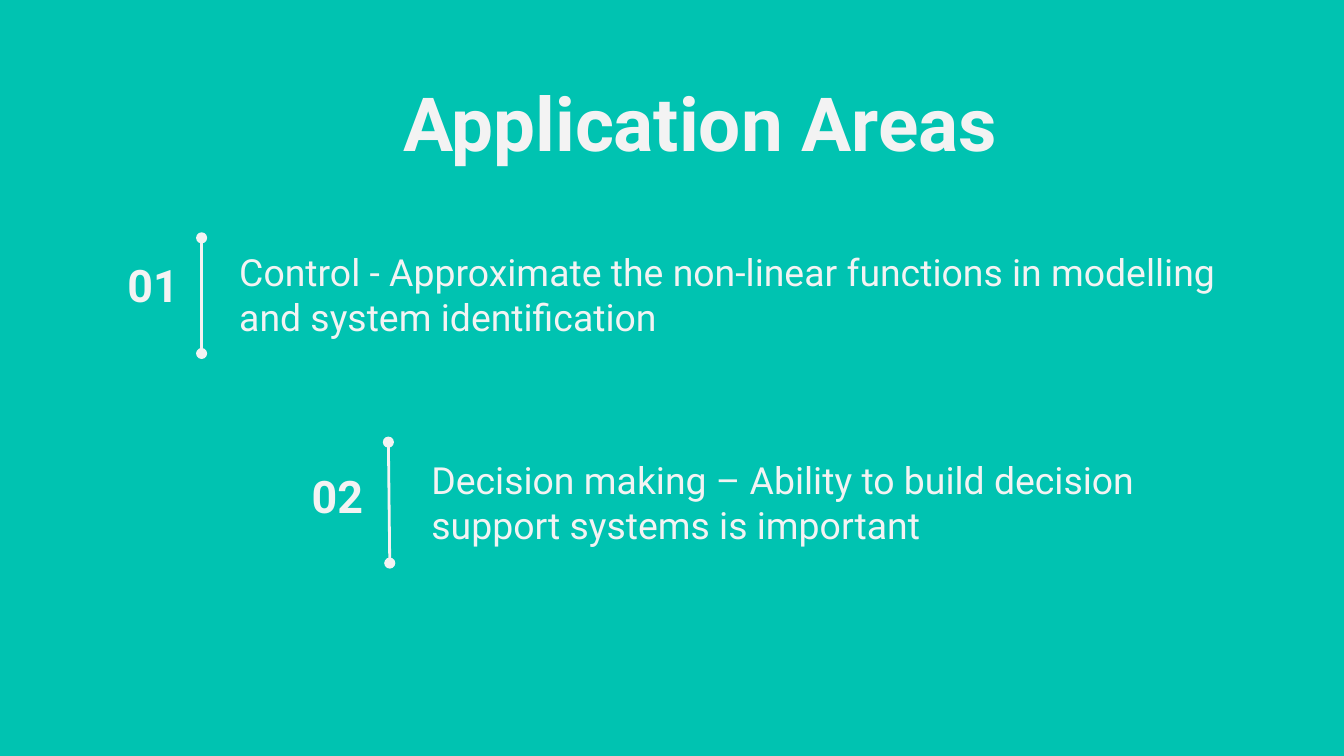
from dataclasses import dataclass

from lxml.etree import SubElement
from pptx import Presentation
from pptx.dml.color import RGBColor
from pptx.enum.shapes import MSO_CONNECTOR
from pptx.enum.text import MSO_ANCHOR, MSO_AUTO_SIZE, PP_ALIGN
from pptx.oxml.ns import qn
from pptx.shapes.base import BaseShape
from pptx.slide import Slide
from pptx.util import Inches, Pt

SLIDE_WIDTH = 10
SLIDE_HEIGHT = SLIDE_WIDTH * 9 / 16


@dataclass(frozen=True)
class Theme:
    background: RGBColor = RGBColor(0x00, 0xC3, 0xB1)
    foreground: RGBColor = RGBColor(0xF3, 0xF3, 0xF3)
    font: str = "Roboto"
    title_size: int = 40
    number_size: int = 24
    body_size: int = 20
    line_width: float = 1.5


@dataclass(frozen=True)
class Box:
    left: float
    top: float
    width: float
    height: float


@dataclass(frozen=True)
class Area:
    number: str
    text: str
    number_box: Box
    text_box: Box
    line_start: tuple[float, float]
    line_end: tuple[float, float]


THEME = Theme()
AREAS = [
    Area("01", "Control - Approximate the non-linear functions in modelling and system identification",
         Box(0.77, 1.89, 0.66, 0.46), Box(1.68, 1.74, 7.63, 0.89), (1.5, 1.77), (1.5, 2.63)),
    Area("02", "Decision making – Ability to build decision support systems is important",
         Box(2.14, 3.46, 0.66, 0.46), Box(3.11, 3.29, 6.21, 0.89), (2.89, 3.29), (2.9, 4.19)),
]


def write_text(shape: BaseShape, box: Box, text: str, size: int, bold: bool = False,
               align: PP_ALIGN = PP_ALIGN.LEFT, anchor: MSO_ANCHOR = MSO_ANCHOR.MIDDLE) -> None:
    """Place a text shape and format its single paragraph."""
    shape.left, shape.top = Inches(box.left), Inches(box.top)
    shape.width, shape.height = Inches(box.width), Inches(box.height)
    frame = shape.text_frame
    frame.word_wrap = True
    frame.auto_size = MSO_AUTO_SIZE.NONE
    frame.vertical_anchor = anchor
    frame.margin_left = frame.margin_right = Inches(0.1)
    frame.margin_top = frame.margin_bottom = Inches(0.1)
    frame.text = text
    paragraph = frame.paragraphs[0]
    paragraph.alignment = align
    paragraph.space_before = Pt(0)
    properties = paragraph._p.get_or_add_pPr()
    properties.set("marL", "0")
    properties.set("indent", "0")
    SubElement(properties, qn("a:buNone"))
    font = paragraph.runs[0].font
    font.name, font.size, font.bold = THEME.font, Pt(size), bold
    font.color.rgb = THEME.foreground


def draw_divider(slide: Slide, start: tuple[float, float], end: tuple[float, float]) -> None:
    """Draw a line with a dot at each end."""
    connector = slide.shapes.add_connector(
        MSO_CONNECTOR.STRAIGHT, *(Inches(value) for value in (*start, *end)))
    connector.line.color.rgb = THEME.foreground
    connector.line.width = Pt(THEME.line_width)
    line = connector.line._get_or_add_ln()
    for ending in ("a:headEnd", "a:tailEnd"):
        SubElement(line, qn(ending), type="oval")
    SubElement(connector._element.spPr, qn("a:effectLst"))


def draw_area(slide: Slide, area: Area, body: BaseShape) -> None:
    """Draw the number, divider and description of one area."""
    write_text(body, area.text_box, area.text, THEME.body_size)
    number = slide.shapes.add_textbox(0, 0, 0, 0)
    write_text(number, area.number_box, area.number, THEME.number_size,
               bold=True, align=PP_ALIGN.RIGHT)
    draw_divider(slide, area.line_start, area.line_end)


def main() -> None:
    presentation = Presentation()
    presentation.slide_width = Inches(SLIDE_WIDTH)
    presentation.slide_height = Inches(SLIDE_HEIGHT)

    # Two Content layout: a title and one body for each area
    slide = presentation.slides.add_slide(presentation.slide_layouts[3])
    slide.background.fill.solid()
    slide.background.fill.fore_color.rgb = THEME.background

    # Heading
    write_text(slide.shapes.title, Box(2.9, 0.47, 4.75, 0.71), "Application Areas",
               THEME.title_size, bold=True, anchor=MSO_ANCHOR.TOP)

    # Numbered areas
    bodies = list(slide.placeholders)[1:]
    for area, body in zip(AREAS, bodies):
        draw_area(slide, area, body)

    presentation.save("out.pptx")


if __name__ == "__main__":
    main()
